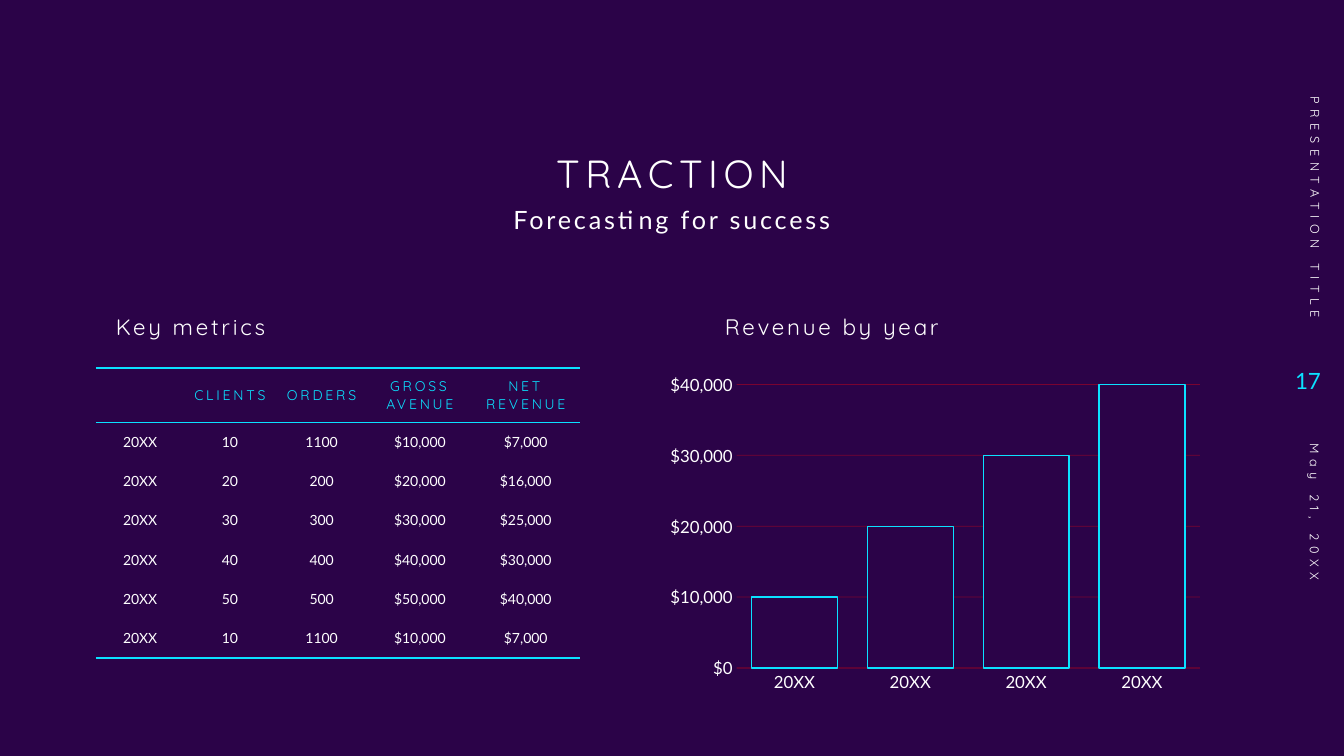
from lxml import etree
from pptx import Presentation
from pptx import util as u
from pptx.chart import data
from pptx.dml.color import RGBColor
from pptx.enum import chart as ch, text
from pptx.oxml.ns import qn

PURPLE, CYAN, WHITE, RED = "2B0348", "0BE1FF", "FFFFFF", "EF050C"
HEAD, BODY = "Quicksand", "Lato"
LEFT, CENTER, RIGHT = text.PP_ALIGN.LEFT, text.PP_ALIGN.CENTER, text.PP_ALIGN.RIGHT
TOP, MIDDLE, BOTTOM = (text.MSO_ANCHOR.TOP, text.MSO_ANCHOR.MIDDLE,
                       text.MSO_ANCHOR.BOTTOM)
NO_STYLE = "{2D5ABB26-0587-4C30-8999-92F81FD0307C}"

HEADERS = ["", "CLIENTS", "ORDERS", "GROSS AVENUE", "NET REVENUE"]
METRICS = [
    ["20XX", "10", "1100", "$10,000", "$7,000"],
    ["20XX", "20", "200", "$20,000", "$16,000"],
    ["20XX", "30", "300", "$30,000", "$25,000"],
    ["20XX", "40", "400", "$40,000", "$30,000"],
    ["20XX", "50", "500", "$50,000", "$40,000"],
    ["20XX", "10", "1100", "$10,000", "$7,000"],
]
REVENUE = [10000, 20000, 30000, 40000]


def rgb(color):
    return RGBColor.from_string(color)


def set_attrs(obj, **values):
    for name, value in values.items():
        setattr(obj, name, value)


def set_font(font, size, name, color):
    set_attrs(font, size=u.Pt(size), name=name, bold=False)
    font.color.rgb = rgb(color)


def set_line(line, color, width):
    line.color.rgb = rgb(color)
    line.width = u.Pt(width)


def write(tf, words, size, name, color=WHITE, spacing=0, align=LEFT, leading=1.0):
    """Put one run of letter-spaced text in the first paragraph."""
    p = tf.paragraphs[0]
    set_attrs(p, alignment=align, line_spacing=leading)
    r = p.add_run()
    r.text = words
    set_font(r.font, size, name, color)
    r._r.get_or_add_rPr().set("spc", str(spacing * 100))


def place_text(sp, box, words, anchor=TOP, rotation=0, **style):
    left, top, width, height = map(u.Inches, box)
    set_attrs(sp, left=left, top=top, width=width, height=height, rotation=rotation)
    set_attrs(sp.text_frame, word_wrap=True, vertical_anchor=anchor,
              auto_size=text.MSO_AUTO_SIZE.NONE)
    write(sp.text_frame, words, **style)


def add_text(s, box, words, **style):
    place_text(s.shapes.add_textbox(0, 0, 0, 0), box, words, **style)


def add_heading(s, x, y):
    place_text(s.shapes.title, (x, y, 5.99, 0.75), "TRACTION", anchor=BOTTOM,
               size=28, name=HEAD, spacing=4, align=CENTER, leading=0.9)
    add_text(s, (x + 0.18, y + 0.76, 5.63, 0.79), "Forecasting for success",
             size=18, name=BODY, spacing=2, align=CENTER, leading=0.9)


def add_section_title(s, x, y, words):
    add_text(s, (x, y, 3.91, 0.49), words, size=16, name=HEAD, spacing=2, leading=0.9)


def add_border(cell, side):
    tc_pr = cell._tc.get_or_add_tcPr()
    ln = etree.Element(qn(f"a:{side}"), w=str(u.Pt(1)))
    fill = etree.SubElement(ln, qn("a:solidFill"))
    etree.SubElement(fill, qn("a:srgbClr"), val=CYAN)
    tc_pr.insert(0, ln)


def add_metrics(s, x, y):
    add_section_title(s, x + 0.1, y, "Key metrics")
    rows = [HEADERS] + METRICS
    frame = s.shapes.add_table(len(rows), len(HEADERS), u.Inches(x), u.Inches(y + 0.56),
                               u.Inches(4.8), u.Inches(2.88))
    next(frame.element.iter(qn("a:tableStyleId"))).text = NO_STYLE
    table = frame.table
    set_attrs(table, first_row=False, horz_banding=False)
    for col, width in zip(table.columns, [0.88, 0.9, 0.92, 1.03, 1.07]):
        col.width = u.Inches(width)
    for i, values in enumerate(rows):
        header, last = i == 0, i == len(rows) - 1
        table.rows[i].height = u.Inches(0.54 if header else 0.39)
        for cell, value in zip(table.rows[i].cells, values):
            set_attrs(cell, vertical_anchor=MIDDLE,
                      margin_left=u.Inches(0.09), margin_right=u.Inches(0.09),
                      margin_top=u.Inches(0.04), margin_bottom=u.Inches(0.04))
            if header or last:
                cell.fill.background()
                add_border(cell, "lnB")
            else:
                cell.fill.solid()
                cell.fill.fore_color.rgb = rgb(PURPLE)
            if header:
                add_border(cell, "lnT")
            if value:
                write(cell.text_frame, value, 10, HEAD if header else BODY,
                      CYAN if header else WHITE, 2 if header else 0, CENTER)


def add_revenue(s, x, y):
    add_section_title(s, x + 0.55, y, "Revenue by year")
    chart_data = data.CategoryChartData()
    chart_data.categories = ["20XX"] * len(REVENUE)
    chart_data.add_series("Series 1", REVENUE)
    chart = s.shapes.add_chart(ch.XL_CHART_TYPE.COLUMN_CLUSTERED, u.Inches(x),
                               u.Inches(y + 0.56), u.Inches(5.47), u.Inches(3.28),
                               chart_data).chart
    set_attrs(chart, has_legend=False, has_title=False)
    set_font(chart.font, 10, BODY, WHITE)

    plot = chart.plots[0]
    set_attrs(plot, gap_width=35, overlap=-100, vary_by_categories=False)
    columns = plot.series[0]
    columns.invert_if_negative = False
    columns.format.fill.solid()
    columns.format.fill.fore_color.rgb = rgb(PURPLE)
    set_line(columns.format.line, CYAN, 1)

    years, dollars = chart.category_axis, chart.value_axis
    for axis in (years, dollars):
        set_attrs(axis, major_tick_mark=ch.XL_TICK_MARK.NONE,
                  minor_tick_mark=ch.XL_TICK_MARK.NONE)
        set_font(axis.tick_labels.font, 12, BODY, WHITE)
    set_attrs(dollars, minimum_scale=0, maximum_scale=40000, major_unit=10000,
              has_major_gridlines=True)
    set_attrs(dollars.tick_labels, number_format="[$$-409]#,##0",
              number_format_is_linked=False)
    dollars.format.line.fill.background()
    for line in (years.format.line, dollars.major_gridlines.format.line):
        set_line(line, RED, 0.5)
    for color in chart.element.iter(qn("a:srgbClr")):
        if color.get("val") == RED:
            etree.SubElement(color, qn("a:alpha"), val="40000")


def add_side_strip(s, x, y):
    """Rotated footer, page number and date down the right edge."""
    small = dict(size=9, name=HEAD, spacing=4, anchor=MIDDLE, rotation=90)
    add_text(s, (x, y, 3.03, 0.4), "PRESENTATION TITLE", align=RIGHT, **small)
    add_text(s, (x + 1.07, y + 1.92, 0.6, 0.63), "17", size=16, name=BODY,
             color=CYAN, anchor=MIDDLE, align=RIGHT)
    add_text(s, (x + 0.06, y + 4.01, 2.9, 0.4), "May 21, 20XX", **small)


def main():
    prs = Presentation()
    set_attrs(prs, slide_width=u.Inches(13.33), slide_height=u.Inches(7.5))
    s = prs.slides.add_slide(prs.slide_layouts[5])
    s.background.fill.solid()
    s.background.fill.fore_color.rgb = rgb(PURPLE)
    add_heading(s, 3.67, 1.25)
    add_metrics(s, 0.95, 3.09)
    add_revenue(s, 6.54, 3.09)
    add_side_strip(s, 11.53, 1.54)
    prs.save("out.pptx")


if __name__ == "__main__":
    main()
